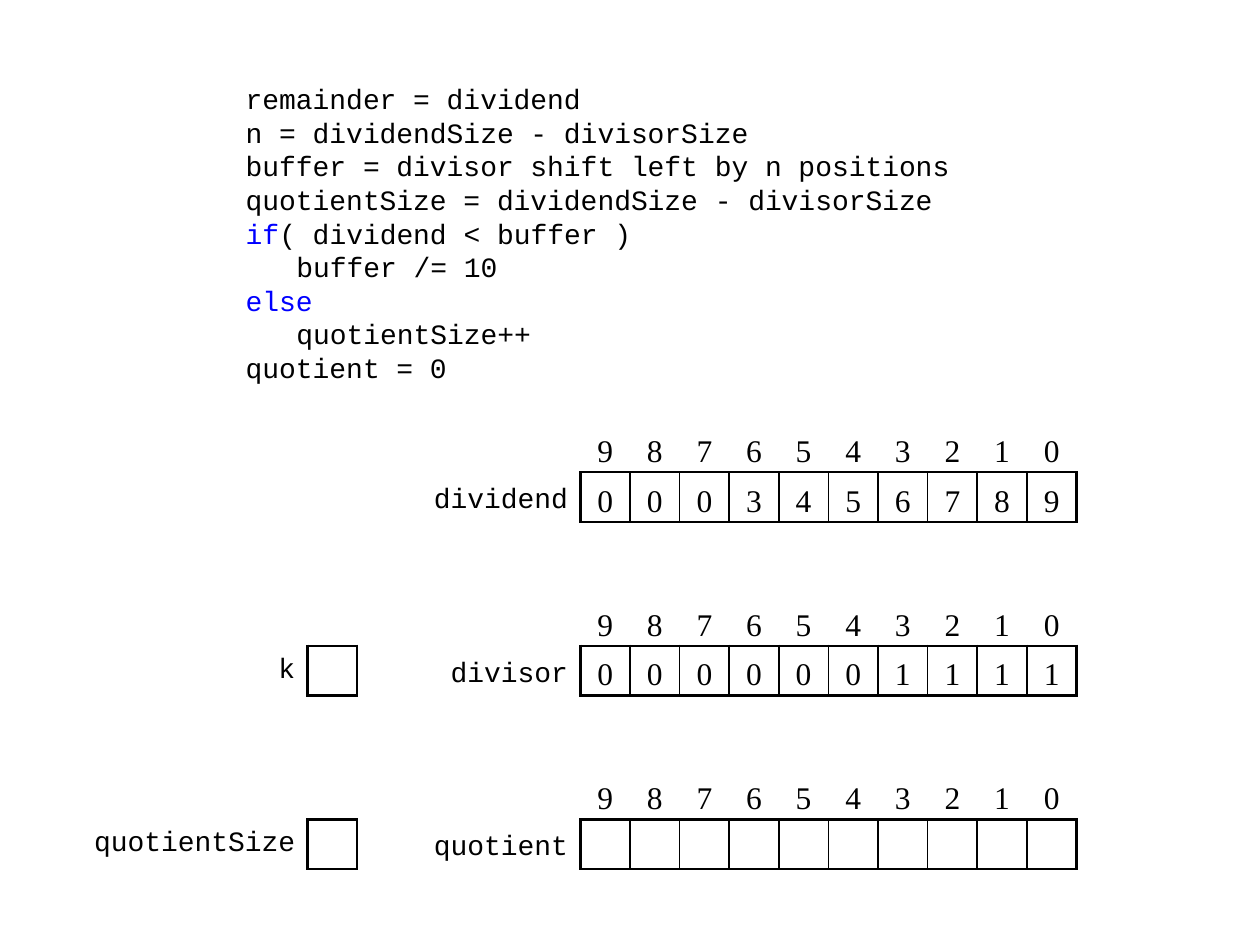
from lxml import etree
from pptx import Presentation
from pptx.dml.color import RGBColor
from pptx.enum.text import MSO_ANCHOR, MSO_AUTO_SIZE, PP_ALIGN
from pptx.oxml.ns import qn
from pptx.util import Cm, Pt

TOP, MIDDLE = MSO_ANCHOR.TOP, MSO_ANCHOR.MIDDLE
NO_AUTOFIT = MSO_AUTO_SIZE.NONE
LEFT, CENTER, RIGHT = PP_ALIGN.LEFT, PP_ALIGN.CENTER, PP_ALIGN.RIGHT

CODE_FONT, DIGIT_FONT = "Courier New", "Times New Roman"
BLACK, BLUE = "000000", "0000FF"
PLAIN_TABLE_STYLE = "{2D5ABB26-0587-4C30-8999-92F81FD0307C}"
THICK, THIN = 1.5, 1
CELL = 1  # side of a digit cell in cm


def style_cell(cell, text, is_label, borders):
    """Write one cell; borders maps L, R, T, B to line widths in points."""
    cell.margin_left = Cm(0.1 if is_label else 0)
    cell.margin_right = Cm(0.25 if is_label else 0)
    cell.margin_top = cell.margin_bottom = 0
    cell.vertical_anchor = MIDDLE
    cell.text = text
    paragraph = cell.text_frame.paragraphs[0]
    paragraph.alignment = RIGHT if is_label else CENTER
    paragraph.font.name = CODE_FONT if is_label else DIGIT_FONT
    paragraph.font.size = Pt(16 if is_label else 18)
    paragraph.font.color.rgb = RGBColor.from_string(BLACK)
    properties = cell._tc.get_or_add_tcPr()
    for side in "LRTB":
        if side in borders:
            line = etree.SubElement(properties, qn(f"a:ln{side}"), w=str(Pt(borders[side])))
            fill = etree.SubElement(line, qn("a:solidFill"))
            etree.SubElement(fill, qn("a:srgbClr"), val=BLACK)
    cell.fill.background()


def add_plain_table(rows, columns, right, top, label_width):
    """Add an unstyled table with a label column and square cells."""
    width = label_width + (columns - 1) * CELL
    table = slide.shapes.add_table(
        rows, columns, Cm(right - width), Cm(top), Cm(width), Cm(rows * CELL)
    ).table
    table.first_row = table.horz_banding = False
    table._tbl.tblPr.find(qn("a:tableStyleId")).text = PLAIN_TABLE_STYLE
    for column in table.columns:
        column.width = Cm(CELL)
    table.columns[0].width = Cm(label_width)
    for row in table.rows:
        row.height = Cm(CELL)
    return table


presentation = Presentation()
presentation.slide_width, presentation.slide_height = Cm(25.4), Cm(19.05)
slide = presentation.slides.add_slide(presentation.slide_layouts[1])
title, code = slide.placeholders
title.element.getparent().remove(title.element)

# Code: indent level, keyword, remaining text
code_lines = [
    (0, "", "remainder = dividend"),
    (0, "", "n = dividendSize - divisorSize"),
    (0, "", "buffer = divisor shift left by n positions"),
    (0, "", "quotientSize = dividendSize - divisorSize"),
    (0, "if", "( dividend < buffer )"),
    (1, "", "buffer /= 10"),
    (0, "else", ""),
    (1, "", "quotientSize++"),
    (0, "", "quotient = 0"),
]
code.left, code.top, code.width, code.height = Cm(4.7), Cm(1.52), Cm(16), Cm(6.5)
code_frame = code.text_frame
code_frame.word_wrap = True
code_frame.auto_size = NO_AUTOFIT
code_frame.vertical_anchor = TOP
for number, (level, keyword, rest) in enumerate(code_lines):
    paragraph = code_frame.paragraphs[0] if number == 0 else code_frame.add_paragraph()
    paragraph.alignment = LEFT
    paragraph.space_before = Pt(0)
    paragraph.line_spacing = Pt(19.2)
    paragraph.font.name = CODE_FONT
    paragraph.font.size = Pt(16)
    indent = paragraph._p.get_or_add_pPr()
    indent.set("marL", str(Cm(1.02 * level)))
    indent.set("indent", "0")
    bullet_off = etree.Element(qn("a:buNone"))
    indent.find(qn("a:defRPr")).addprevious(bullet_off)
    for text, color in ((keyword, BLUE), (rest, BLACK)):
        if text:
            run = paragraph.add_run()
            run.text = text
            run.font.color.rgb = RGBColor.from_string(color)

# Numbers: name, digits, width of the label column
numbers = [
    ("dividend", "0003456789", 3.5),
    ("divisor", "0000001111", 3),
    ("quotient", " " * 10, 3.5),
]
FIRST_TOP, STEP = 8.52, 3.5
for index, (name, digits, label_width) in enumerate(numbers):
    count = len(digits)
    number_table = add_plain_table(2, count + 1, 21.7, FIRST_TOP + index * STEP, label_width)
    style_cell(number_table.cell(0, 0), "", True, {})
    style_cell(number_table.cell(1, 0), name, True, {"R": THICK})
    for place, digit in enumerate(digits, 1):
        style_cell(number_table.cell(0, place), str(count - place), False, {"B": THICK})
        sides = {
            "L": THICK if place == 1 else THIN,
            "R": THICK if place == count else THIN,
            "T": THICK,
            "B": THICK,
        }
        style_cell(number_table.cell(1, place), digit.strip(), False, sides)
    for row in number_table.rows:
        for cell in row.cells:
            cell.text_frame.paragraphs[0].line_spacing = 1.25

# Counters, level with the digit rows of the last two numbers
for index, (name, label_width) in enumerate([("k", 1), ("quotientSize", 4.5)], 1):
    counter_top = FIRST_TOP + index * STEP + CELL
    counter_table = add_plain_table(1, 2, 7.2, counter_top, label_width)
    style_cell(counter_table.cell(0, 0), name, True, {"R": THICK})
    style_cell(counter_table.cell(0, 1), "", False, dict.fromkeys("LRTB", THICK))

presentation.save("out.pptx")
